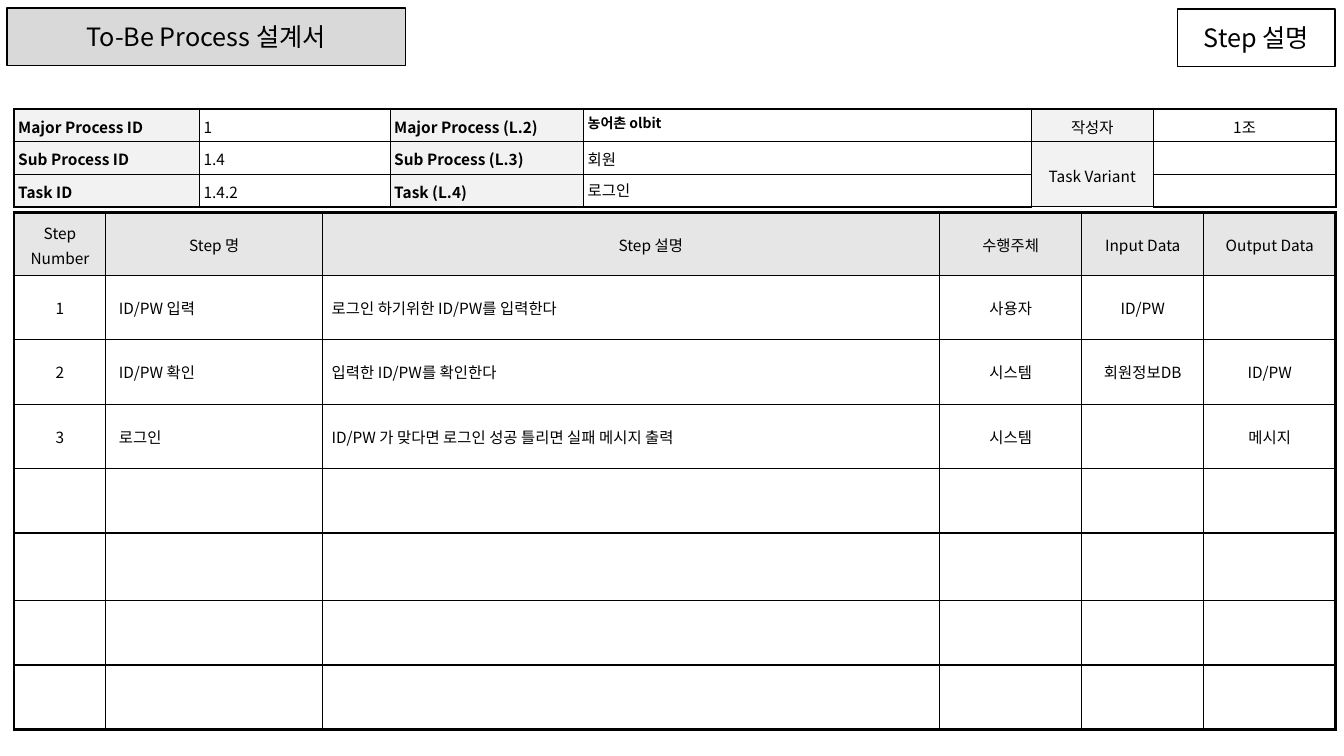
import pptx
import pptx.dml.color
import pptx.enum.shapes
import pptx.enum.text
import pptx.oxml.ns
import pptx.util
from lxml import etree
from pptx.util import Inches

BLACK = pptx.dml.color.RGBColor(0x00, 0x00, 0x00)
TITLE_GRAY = pptx.dml.color.RGBColor(0xD9, 0xD9, 0xD9)
LABEL_GRAY = pptx.dml.color.RGBColor(0xF2, 0xF2, 0xF2)
HEADER_GRAY = pptx.dml.color.RGBColor(0xE6, 0xE6, 0xE6)
FONT = "Noto Sans CJK KR"
LEFT, CENTER = pptx.enum.text.PP_ALIGN.LEFT, pptx.enum.text.PP_ALIGN.CENTER
TOP, MIDDLE = pptx.enum.text.MSO_ANCHOR.TOP, pptx.enum.text.MSO_ANCHOR.MIDDLE

INFO_COLUMNS = [1.84, 1.89, 1.92, 4.44, 1.21, 1.81]
INFO_ROWS = [
    ["Major Process ID", "1", "Major Process (L.2)", "농어촌 olbit", "작성자", "1조"],
    ["Sub Process ID", "1.4", "Sub Process (L.3)", "회원", "Task Variant", ""],
    ["Task ID", "1.4.2", "Task (L.4)", "로그인", "", ""],
]
STEP_COLUMNS = [0.91, 2.15, 6.12, 1.41, 1.21, 1.31]
STEP_HEIGHTS = [0.62, 0.64, 0.64, 0.64, 0.64, 0.67, 0.64, 0.64]
STEP_INDENTS = {1: 0.07, 2: 0.03}
STEP_ROWS = [
    ["Step Number", "Step 명", "Step 설명", "수행주체", "Input Data", "Output Data"],
    ["1", "ID/PW 입력", "로그인 하기위한 ID/PW를 입력한다", "사용자", "ID/PW", ""],
    ["2", "ID/PW 확인", "입력한 ID/PW를 확인한다", "시스템", "회원정보DB", "ID/PW"],
    ["3", "로그인", "ID/PW 가 맞다면 로그인 성공 틀리면 실패 메시지 출력", "시스템", "", "메시지"],
] + [[""] * 6] * 4


def set_values(target, values):
    for name, value in values.items():
        setattr(target, name, value)


def write_text(frame, text, size, align=LEFT, bold=False, spacing=1.0, indent=0):
    para = frame.paragraphs[0]
    set_values(para, {"alignment": align, "line_spacing": spacing})
    if indent:
        properties = para._p.get_or_add_pPr()
        properties.set("marL", str(Inches(indent)))
        properties.set("indent", "0")
    if not text:
        # Keeps an empty cell from growing to the default text size
        end = etree.SubElement(para._p, pptx.oxml.ns.qn("a:endParaRPr"))
        end.set("sz", str(size * 100))
        return
    span = para.add_run()
    span.text = text
    set_values(span.font, {"size": pptx.util.Pt(size), "bold": bold, "name": FONT})
    span.font.color.rgb = BLACK
    east_asian = etree.SubElement(span.font._element, pptx.oxml.ns.qn("a:ea"))
    east_asian.set("typeface", FONT)


def draw_borders(cell, widths):
    properties = cell._tc.get_or_add_tcPr()
    for side in "LRTB":
        line = etree.SubElement(properties, pptx.oxml.ns.qn(f"a:ln{side}"))
        line.set("w", str(pptx.util.Pt(widths[side])))
        fill = etree.SubElement(line, pptx.oxml.ns.qn("a:solidFill"))
        etree.SubElement(fill, pptx.oxml.ns.qn("a:srgbClr")).set("val", str(BLACK))


def fill_cell(cell, color):
    if color is None:
        cell.fill.background()
    else:
        cell.fill.solid()
        cell.fill.fore_color.rgb = color


def add_grid(page, left, top, columns, heights, edge, side_margin):
    """Adds a plain ruled table whose outer edge is heavier than its inner lines."""
    frame = page.shapes.add_table(len(heights), len(columns), Inches(left), Inches(top),
                                  Inches(sum(columns)), Inches(sum(heights)))
    table = frame.table
    set_values(table, {"first_row": False, "horz_banding": False})
    for column, width in zip(table.columns, columns):
        column.width = Inches(width)
    for row, height in zip(table.rows, heights):
        row.height = Inches(height)
    last_row, last_column = len(heights) - 1, len(columns) - 1
    for r in range(len(heights)):
        for c in range(len(columns)):
            cell = table.cell(r, c)
            set_values(cell, {"margin_left": Inches(side_margin),
                              "margin_right": Inches(side_margin),
                              "margin_top": Inches(0.04), "margin_bottom": Inches(0.04)})
            draw_borders(cell, {"L": edge if c == 0 else 1,
                                "R": edge if c == last_column else 1,
                                "T": edge if r == 0 else 1,
                                "B": edge if r == last_row else 1})
    return table


def format_heading(box, left, top, width, height, text, color):
    set_values(box, {"left": Inches(left), "top": Inches(top),
                     "width": Inches(width), "height": Inches(height)})
    fill_cell(box, color)
    box.line.color.rgb = BLACK
    box.line.width = pptx.util.Pt(1)
    set_values(box.text_frame, {"word_wrap": True, "vertical_anchor": MIDDLE,
                                "auto_size": pptx.enum.text.MSO_AUTO_SIZE.NONE})
    write_text(box.text_frame, text, 18, CENTER)


def add_headings(page, left, top):
    # Document title and page label
    format_heading(page.shapes.title, left, top, 3.95, 0.57, "To-Be Process 설계서", TITLE_GRAY)
    label = page.shapes.add_shape(pptx.enum.shapes.MSO_SHAPE.RECTANGLE, 0, 0, 0, 0)
    label.shadow.inherit = False
    format_heading(label, left + 11.61, top + 0.01, 1.56, 0.57, "Step 설명", None)


def add_process_info(page, left, top):
    # Process identification
    table = add_grid(page, left, top, INFO_COLUMNS, [0.31] * 3, 1.5, 0.04)
    table.cell(1, 4).merge(table.cell(2, 4))
    for r, texts in enumerate(INFO_ROWS):
        for c, text in enumerate(texts):
            cell = table.cell(r, c)
            is_label, is_name = c in (0, 2, 4), (r, c) == (0, 3)
            fill_cell(cell, LABEL_GRAY if is_label else None)
            cell.vertical_anchor = MIDDLE if c > 3 else TOP
            if not cell.is_spanned:
                write_text(cell.text_frame, text, 10 if is_name else 11,
                           CENTER if c > 3 else LEFT, c in (0, 2) or is_name,
                           1.0 if c == 3 and r != 1 else 1.1)


def add_steps(page, left, top):
    # Step list with its header row
    table = add_grid(page, left, top, STEP_COLUMNS, STEP_HEIGHTS, 2.25, 0.06)
    for r, texts in enumerate(STEP_ROWS):
        is_header = r == 0
        for c, text in enumerate(texts):
            cell = table.cell(r, c)
            fill_cell(cell, HEADER_GRAY if is_header else None)
            cell.vertical_anchor = MIDDLE
            if is_header:
                indent = 0.39 if c == 2 else 0
            else:
                indent = STEP_INDENTS.get(c, 0)
            write_text(cell.text_frame, text, 11,
                       CENTER if is_header or c not in STEP_INDENTS else LEFT,
                       spacing=1.1 if is_header else 1.0, indent=indent)


def main():
    deck = pptx.Presentation()
    set_values(deck, {"slide_width": Inches(13.33), "slide_height": Inches(7.5)})
    page = deck.slides.add_slide(deck.slide_layouts[5])
    add_headings(page, 0.07, 0.08)
    add_process_info(page, 0.14, 1.08)
    add_steps(page, 0.14, 2.11)
    deck.save("out.pptx")


if __name__ == "__main__":
    main()
